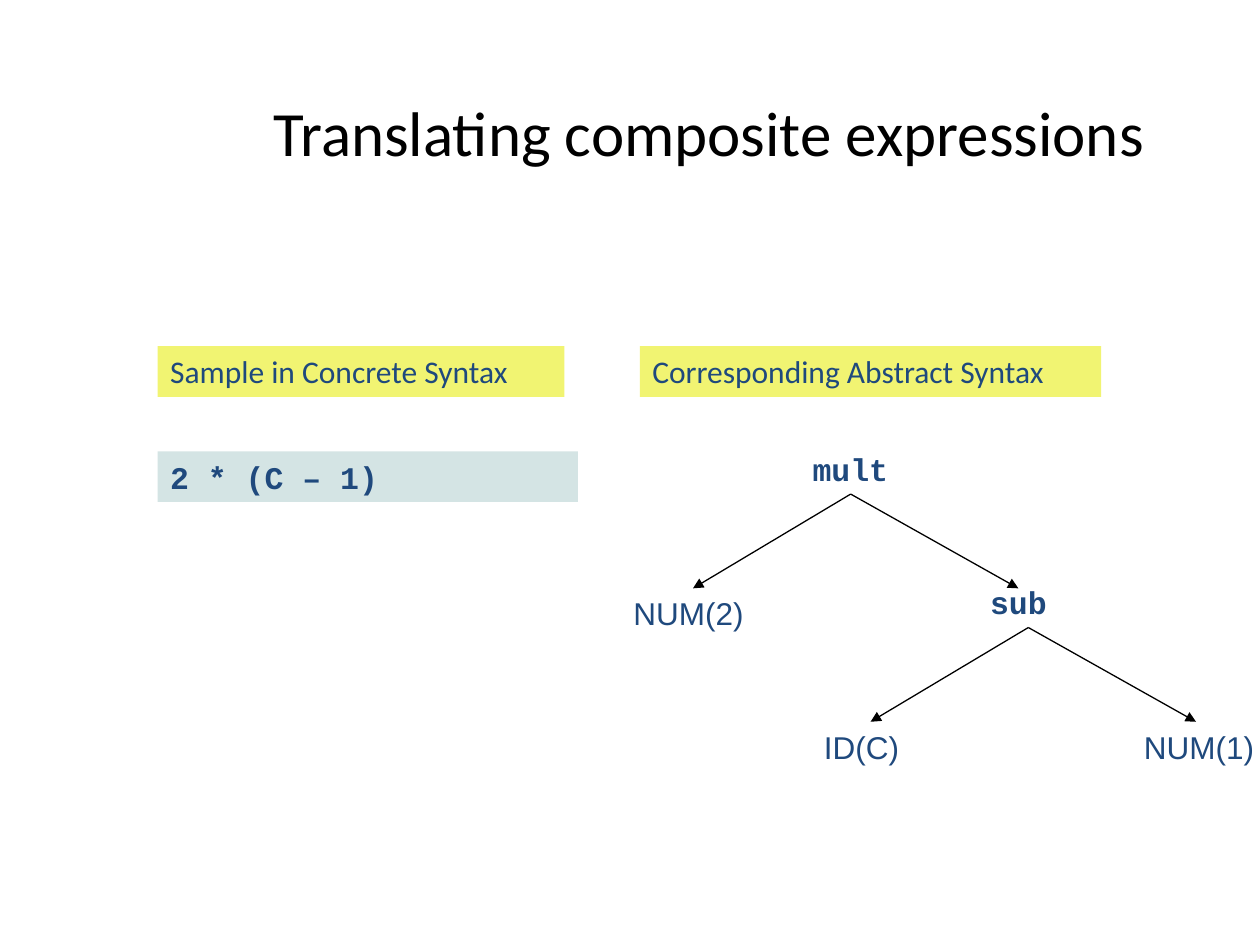
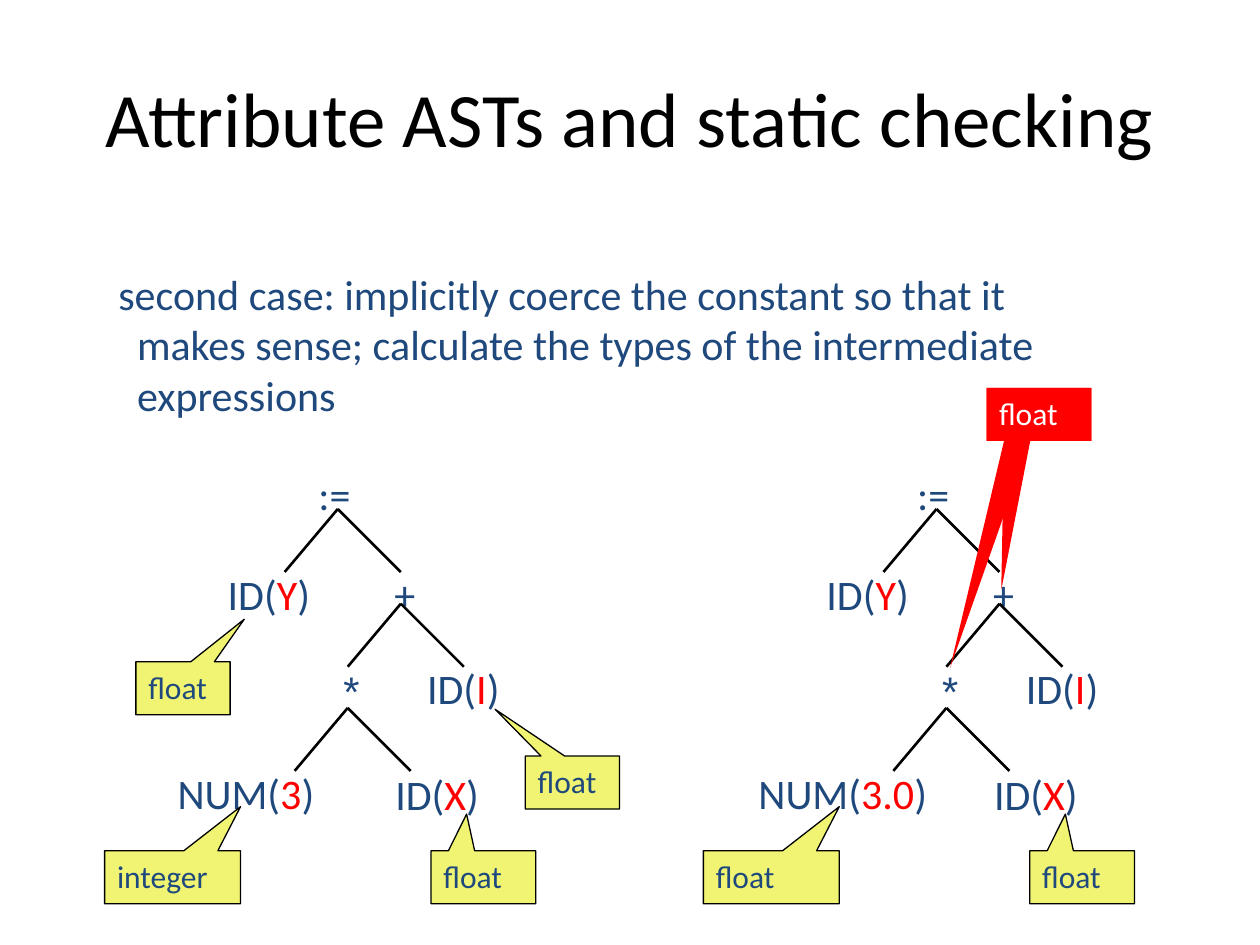
from lxml import etree
from pptx import Presentation
from pptx import util as u
from pptx.dml import color
from pptx.enum import shapes, text
from pptx.oxml import ns

Cm, Pt = u.Cm, u.Pt
rgb = color.RGBColor.from_string
BLUE, RED, BLACK, WHITE = "1F497D", "FF0000", "000000", "FFFFFF"
LIME, MINT = "F1F472", "D4E4E4"
RECT = shapes.MSO_SHAPE.RECTANGLE
CALL = shapes.MSO_SHAPE.RECTANGULAR_CALLOUT

# Shared text formats
sans = {"name": "Calibri", "size": Pt(18), "bold": False}
mono = {"name": "Courier New", "size": Pt(18), "bold": True}
leaf = {"name": "Arial", "size": Pt(18), "bold": False}
node = {"name": "Calibri", "size": Pt(24), "bold": False}
star = {"name": "Courier New", "size": Pt(24), "bold": False}


def box(page, kind, area, parts, form, fill=None, edge=None, inks=(BLUE, RED, BLUE)):
    """Add a text box (kind None) or a filled shape; parts take inks in turn."""
    area = [Cm(n) for n in area]
    if kind is None:
        item = page.shapes.add_textbox(*area)
    else:
        item = page.shapes.add_shape(kind, *area)
        item.shadow.inherit = False
        item.fill.solid()
        item.fill.fore_color.rgb = rgb(fill)
        if edge:
            item.line.color.rgb = rgb(edge)
            item.line.width = Pt(0.75)
        else:
            item.line.fill.background()
    frame = item.text_frame
    frame.word_wrap = kind is not None
    frame.vertical_anchor = text.MSO_ANCHOR.TOP
    para = frame.paragraphs[0]
    para.alignment = text.PP_ALIGN.LEFT
    for part, ink in zip(parts, inks):
        run = para.add_run()
        run.text = part
        run.font.color.rgb = rgb(ink)
        for key, val in form.items():
            setattr(run.font, key, val)
    return item


def link(page, x, y, dx, dy, width, arrow=False):
    """Draw a tree branch from (x, y)."""
    line = page.shapes.add_connector(
        shapes.MSO_CONNECTOR.STRAIGHT, Cm(x), Cm(y), Cm(x + dx), Cm(y + dy))
    line.line.color.rgb = rgb(BLACK)
    line.line.width = Pt(width)
    if arrow:
        etree.SubElement(line.line._get_or_add_ln(), ns.qn("a:tailEnd"), type="triangle")
    etree.SubElement(line._element.spPr, ns.qn("a:effectLst"))


deck = Presentation()
deck.slide_width, deck.slide_height = Cm(25.4), Cm(19.05)

# Slides and titles: layout, title, size, area
heads = [
    (5, "Translating composite expressions", 36, (4.23, 0.53, 20.12, 4.23)),
    (1, "Attribute ASTs and static checking", 44, (1.27, 0.76, 22.86, 3.18)),
]
pages = []
for kind, words, size, area in heads:
    page = deck.slides.add_slide(deck.slide_layouts[kind])
    title = page.shapes.title
    title.left, title.top, title.width, title.height = [Cm(n) for n in area]
    title.text_frame.text = words
    title.text_frame.vertical_anchor = text.MSO_ANCHOR.MIDDLE
    para = title.text_frame.paragraphs[0]
    para.alignment = text.PP_ALIGN.CENTER
    for key, val in {"name": "Calibri", "size": Pt(size)}.items():
        setattr(para.font, key, val)
    para.font.color.rgb = rgb(BLACK)
    pages.append(page)
first, second = pages

# Slide 1: column heads and the sample
for x, y, w, words, form, fill in [
    (3.18, 6.98, 8.2, "Sample in Concrete Syntax", sans, LIME),
    (12.9, 6.98, 9.3, "Corresponding Abstract Syntax", sans, LIME),
    (3.18, 9.1, 8.47, "2 * (C – 1)", mono, MINT),
]:
    box(first, RECT, (x, y, w, 1.02), [words], form, fill)

# Slide 1: syntax tree
for x, y, w, words, form in [
    (16.13, 8.94, 2.06, "mult", mono),
    (12.52, 11.86, 2.87, "NUM(2)", leaf),
    (19.71, 11.63, 1.68, "sub", mono),
    (16.36, 14.55, 2.2, "ID(C)", leaf),
    (22.81, 14.55, 2.87, "NUM(1)", leaf),
]:
    box(first, None, (x, y, w, 1.02), [words], form)
for x, y in [(17.15, 9.96), (20.73, 12.65)]:
    for dx in (-3.18, 3.38):
        link(first, x, y, dx, 1.9, 0.75, True)

# Slide 2: lead text with a hanging indent
body = second.placeholders[1]
body.left, body.top, body.width, body.height = Cm(2.13), Cm(5.28), Cm(20.7), Cm(3.3)
frame = body.text_frame
frame.auto_size = text.MSO_AUTO_SIZE.NONE
frame.text = ("second case: implicitly coerce the constant so that it\v"
              "makes sense; calculate the types of the intermediate\v"
              "expressions")
para = frame.paragraphs[0]
para.space_before = Pt(0)
props = para._p.get_or_add_pPr()
props.set("marL", str(Cm(0.38)))
props.set("indent", str(-Cm(0.38)))
etree.SubElement(props, ns.qn("a:buNone"))
for run in para.runs:
    run.font.color.rgb = rgb(BLUE)
    for key, val in node.items():
        setattr(run.font, key, val)

# Slide 2: the same tree before and after coercion
step = 12.07
trees = [
    (0, (3.33, 3.3, "3"), "integer"),
    (step, (2.97, 3.94, "3.0"), "float"),
]
for off, (left, wide, num), kind in trees:
    for x, y, w, parts, form in [
        (6.17, 9.32, 1.24, [":="], node),
        (4.34, 11.33, 2.18, ["ID(", "Y", ")"], node),
        (7.7, 11.33, 1.02, ["+"], node),
        (6.58, 13.31, 1.02, ["*"], star),
        (8.36, 13.23, 1.98, ["ID(", "I", ")"], node),
        (left, 15.34, wide, ["NUM(", num, ")"], node),
        (7.72, 15.37, 2.21, ["ID(", "X", ")"], node),
    ]:
        box(second, None, (x + off, y, w, 1.28), parts, form)
    for x, y in [(6.81, 10.26), (8.08, 12.17), (7.01, 14.27)]:
        for dx in (-1.07, 1.27):
            link(second, x + off, y, dx, 1.27, 1.5)

    # Type notes: left, top, width, words, tip
    notes = [
        (2.11, 17.15, 2.74, kind, (0.5, -1.33)),
        (8.69, 17.15, 2.11, "float", (-0.16, -1.19)),
    ]
    if not off:
        notes += [
            (10.59, 15.24, 1.9, "float", (-0.82, -1.38)),
            (2.74, 13.34, 1.9, "float", (0.65, -1.3)),
        ]
    for x, y, w, words, tip in notes:
        note = box(second, CALL, (x + off, y, w, 1.07), [words], sans, LIME, BLACK)
        note.adjustments[0], note.adjustments[1] = tip

# Slide 2: red note with two tips
for tip, parts in [((-0.85, 4.78), []), ((-0.36, 3.31), ["float"])]:
    note = box(second, CALL, (19.89, 7.82, 2.11, 1.07), parts, sans, RED, inks=[WHITE])
    note.adjustments[0], note.adjustments[1] = tip

deck.save("out.pptx")
